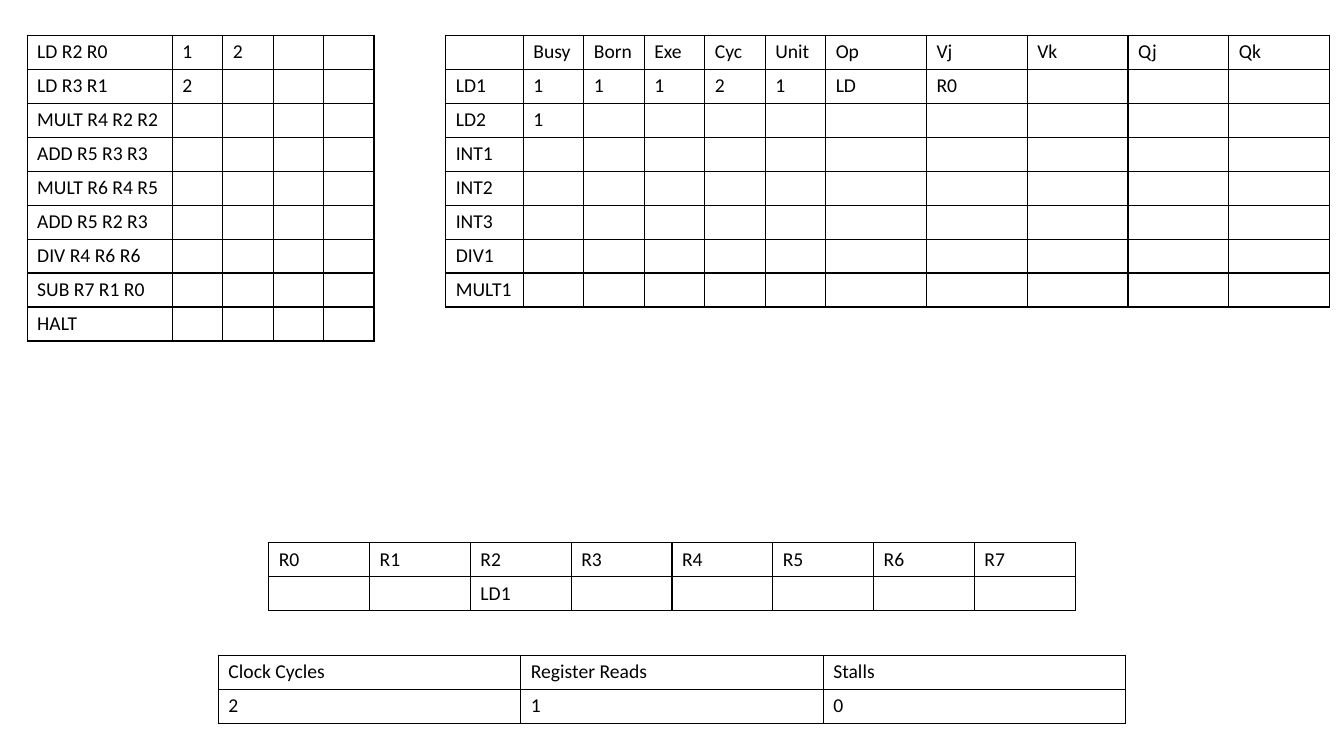
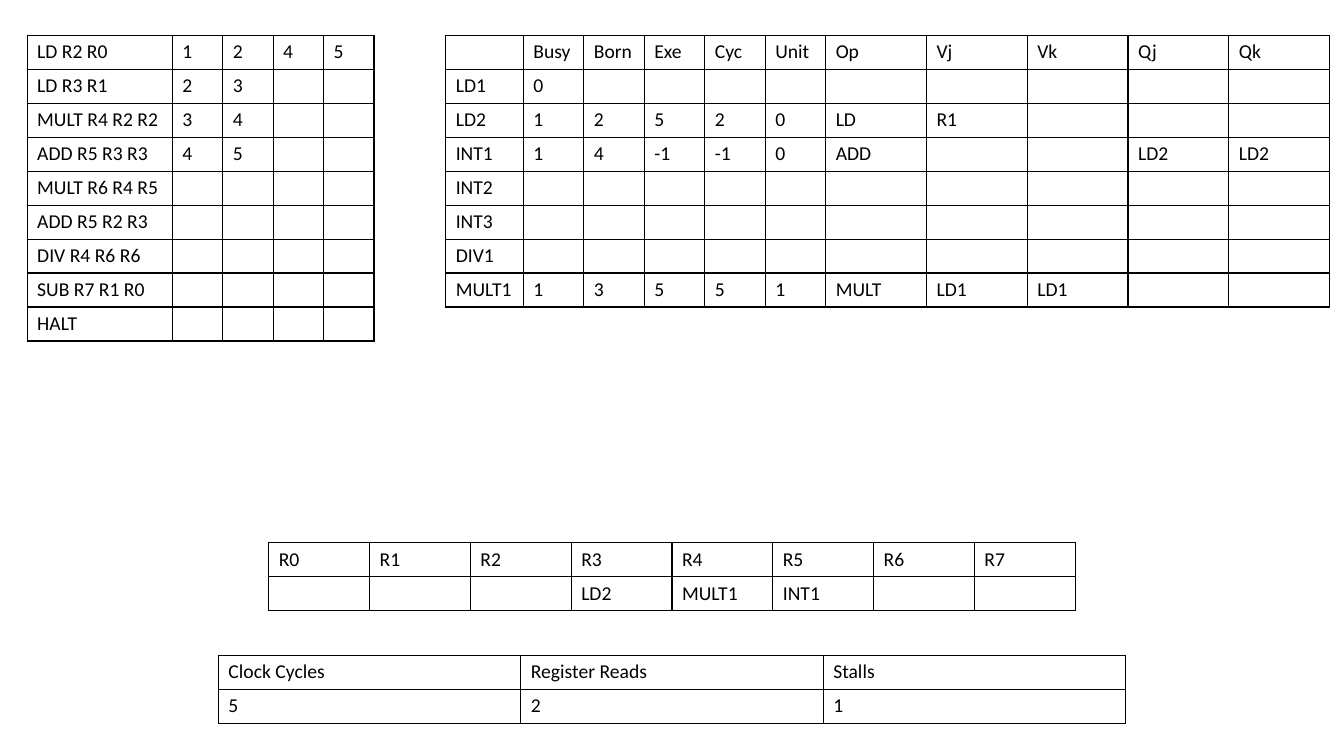
from lxml.etree import SubElement
from pptx import Presentation
from pptx.dml.color import RGBColor
from pptx.oxml.ns import qn
from pptx.util import Pt

# Shared style
WIDE, HIGH = 960, 540
INK, FONT, SIZE, ROW, EDGE = "000000", "Calibri", 14, 24, 1

# Shared labels
CODE = ["LD R2 R0", "LD R3 R1", "MULT R4 R2 R2", "ADD R5 R3 R3", "MULT R6 R4 R5",
        "ADD R5 R2 R3", "DIV R4 R6 R6", "SUB R7 R1 R0", "HALT"]
HEADS = ["", "Busy", "Born", "Exe", "Cyc", "Unit", "Op", "Vj", "Vk", "Qj", "Qk"]
UNITS = ["LD1", "LD2", "INT1", "INT2", "INT3", "DIV1", "MULT1"]
REGS = [f"R{n}" for n in range(8)]
STATS = ["Clock Cycles", "Register Reads", "Stalls"]

# State of the machine on each slide
STATES = [
    {
        "code": {"LD R2 R0": [1, 2], "LD R3 R1": [2]},
        "units": {"LD1": [1, 1, 1, 2, 1, "LD", "R0"], "LD2": [1]},
        "regs": {"R2": "LD1"},
        "stats": [2, 1, 0],
    },
    {
        "code": {"LD R2 R0": [1, 2, 4, 5], "LD R3 R1": [2, 3],
                 "MULT R4 R2 R2": [3, 4], "ADD R5 R3 R3": [4, 5]},
        "units": {"LD1": [0], "LD2": [1, 2, 5, 2, 0, "LD", "R1"],
                  "INT1": [1, 4, -1, -1, 0, "ADD", "", "", "LD2", "LD2"],
                  "MULT1": [1, 3, 5, 5, 1, "MULT", "LD1", "LD1"]},
        "regs": {"R3": "LD2", "R4": "MULT1", "R5": "INT1"},
        "stats": [5, 2, 1],
    },
]


def tone(code):
    return RGBColor.from_string(code)


def edge(cell):
    props = cell._tc.get_or_add_tcPr()
    for side in ("a:lnL", "a:lnR", "a:lnT", "a:lnB"):
        line = SubElement(props, qn(side), w=str(Pt(EDGE)))
        fill = SubElement(line, qn("a:solidFill"))
        SubElement(fill, qn("a:srgbClr"), val=INK)


def write(cell, text):
    para = cell.text_frame.paragraphs[0]
    if text == "":
        # Blank cells need the small size too, or they stretch the row
        SubElement(para._p, qn("a:endParaRPr"), sz=str(SIZE * 100))
        return
    para.text = str(text)
    font = para.runs[0].font
    font.name, font.size = FONT, Pt(SIZE)
    font.color.rgb = tone(INK)


def grid(slide, left, top, cols, rows):
    """Plain ruled table; short rows are filled up with blank cells."""
    frame = slide.shapes.add_table(len(rows), len(cols), Pt(left), Pt(top),
                                   Pt(sum(cols)), Pt(ROW * len(rows)))
    table = frame.table
    table.first_row = table.horz_banding = False
    for col, width in zip(table.columns, cols):
        col.width = Pt(width)
    for r, row in enumerate(rows):
        table.rows[r].height = Pt(ROW)
        for c in range(len(cols)):
            cell = table.cell(r, c)
            edge(cell)
            cell.fill.background()
            write(cell, row[c] if c < len(row) else "")


def middle(slide, top, cols, rows):
    grid(slide, (WIDE - sum(cols)) / 2, top, cols, rows)


def label(names, data):
    return [[name, *data.get(name, [])] for name in names]


def board(deck, state):
    slide = deck.slides.add_slide(deck.slide_layouts[6])
    # Program and its issue cycles
    grid(slide, 19.4, 25.2, [103.7] + [36] * 4, label(CODE, state["code"]))
    # Reservation stations
    grid(slide, 318.4, 25.2, [55.4] + [43.2] * 5 + [72] * 5,
         [HEADS] + label(UNITS, state["units"]))
    # Registers
    middle(slide, 387.4, [72] * 8,
           [REGS, [state["regs"].get(reg, "") for reg in REGS]])
    # Totals
    middle(slide, 468, [216] * 3, [STATS, state["stats"]])


def main():
    deck = Presentation()
    deck.slide_width, deck.slide_height = Pt(WIDE), Pt(HIGH)
    for state in STATES:
        board(deck, state)
    deck.save("out.pptx")


if __name__ == "__main__":
    main()
